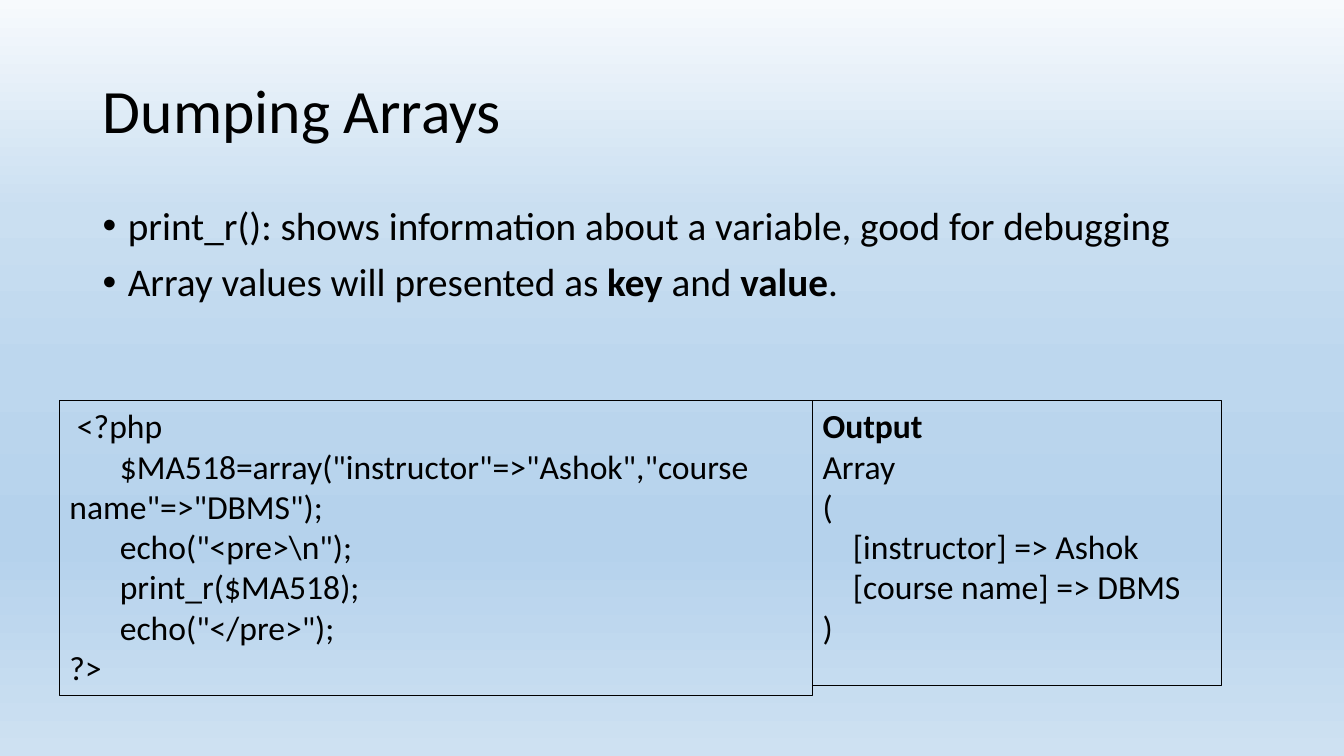
"""Build the "Dumping Arrays" slide with bullets, PHP code and its output."""
from lxml import etree
from pptx import Presentation
from pptx.dml.color import RGBColor
from pptx.enum import shapes, text
from pptx.oxml import ns
from pptx.util import Inches, Pt

BLACK = RGBColor(0x00, 0x00, 0x00)
SKY = [(0, "F7FAFD"), (28, "CADFF1"), (49, "BDD7EE"),
       (71, "B5D2EC"), (72, "B5D2EC"), (100, "CEE1F2")]

BULLETS = [
    [("print_r(): shows information about a variable, good for debugging", False)],
    [("Array values will presented as ", False), ("key", True),
     (" and ", False), ("value", True), (".", False)],
]
CODE = r''' <?php
	$MA518=array("instructor"=>"Ashok","course name"=>"DBMS");
	echo("<pre>\n");
	print_r($MA518);
	echo("</pre>");
?>'''
OUTPUT = """Output
Array
(
    [instructor] => Ashok
    [course name] => DBMS
)"""


def write(box, lines, size, anchor=text.MSO_ANCHOR.TOP):
    """Fill a box with left-aligned lines of (wording, bold) spans."""
    frame = box.text_frame
    frame.word_wrap = True
    frame.auto_size = text.MSO_AUTO_SIZE.NONE
    frame.vertical_anchor = anchor
    for index, line in enumerate(lines):
        para = frame.add_paragraph() if index else frame.paragraphs[0]
        para.alignment = text.PP_ALIGN.LEFT
        for wording, bold in line:
            span = para.add_run()
            span.text = wording
            style = {"name": "Calibri", "size": Pt(size), "bold": bold}
            for name, value in style.items():
                setattr(span.font, name, value)
            span.font.color.rgb = BLACK
    return frame.paragraphs


deck = Presentation()
deck.slide_width, deck.slide_height = Inches(13.33), Inches(7.5)
page = deck.slides.add_slide(deck.slide_layouts[5])

backdrop = page.background.fill
backdrop.gradient()
backdrop.gradient_angle = 270
stops = page.element.find(".//" + ns.qn("a:gsLst"))
for stop in list(stops):
    stops.remove(stop)
for percent, color in SKY:
    stop = etree.SubElement(stops, ns.qn("a:gs"), pos=str(percent * 1000))
    etree.SubElement(stop, ns.qn("a:srgbClr"), val=color)

title = page.shapes.title
place = {"left": 0.92, "top": 0.4, "width": 11.5, "height": 1.45}
for name, value in place.items():
    setattr(title, name, Inches(value))
heading = write(title, [[("Dumping Arrays", False)]], 44, text.MSO_ANCHOR.MIDDLE)
heading[0].line_spacing = 0.9

body = page.shapes.add_textbox(Inches(0.92), Inches(2), Inches(11.5), Inches(4.76))
for index, para in enumerate(write(body, BULLETS, 28)):
    properties = para._p.get_or_add_pPr()
    properties.set("marL", str(Inches(0.25)))
    properties.set("indent", str(-Inches(0.25)))
    etree.SubElement(properties, ns.qn("a:buFont"), typeface="Arial")
    etree.SubElement(properties, ns.qn("a:buChar"), char="•")
    para.line_spacing = 0.9
    para.space_before = Pt(10 if index else 0)

for left, width, height, listing in [(0.59, 7.47, 2.93, CODE),
                                     (8.06, 4.06, 2.83, OUTPUT)]:
    panel = page.shapes.add_shape(shapes.MSO_SHAPE.RECTANGLE, Inches(left),
                                  Inches(3.97), Inches(width), Inches(height))
    panel.shadow.inherit = False
    panel.fill.background()
    panel.line.color.rgb = BLACK
    panel.line.width = Pt(0.75)
    write(panel, [[(line, line == "Output")] for line in listing.split("\n")], 24)

deck.save("out.pptx")
